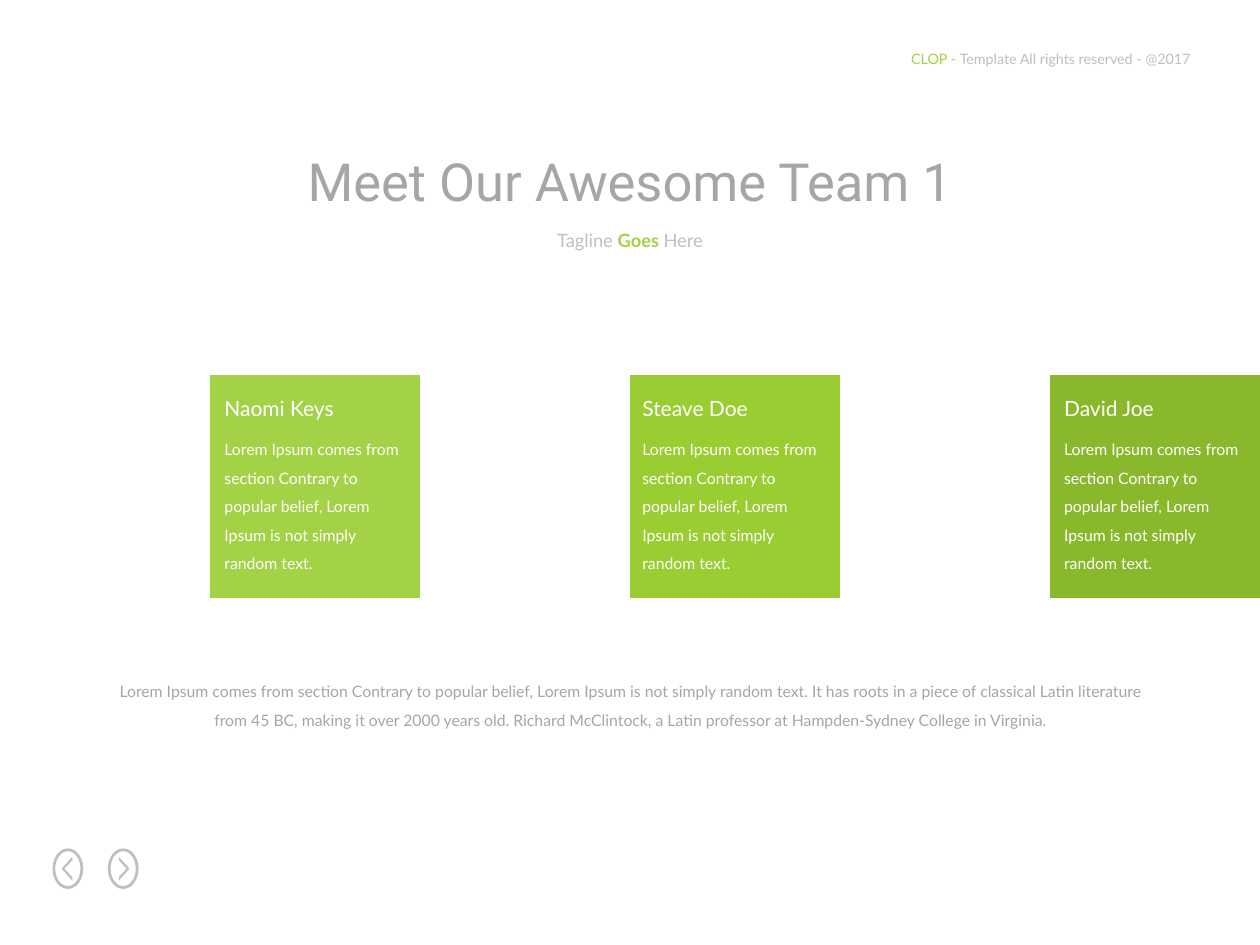
from dataclasses import dataclass

from pptx import Presentation
from pptx import util as u
from pptx.dml.color import RGBColor
from pptx.enum import shapes, text

Pt = u.Pt


@dataclass(frozen=True)
class Theme:
    body_font: str = "Lato"
    title_font: str = "Roboto"
    light_green: str = "A4D246"
    green: str = "9ACD32"
    dark_green: str = "8AB82D"
    grey: str = "A6A6A6"
    light_grey: str = "BFBFBF"
    white: str = "FFFFFF"
    credit_size: float = 8.2
    body_size: float = 9
    tagline_size: float = 10.5
    name_size: float = 12
    title_size: float = 30


THEME = Theme()
CENTER = text.PP_ALIGN.CENTER
CARD_TEXT = ("Lorem Ipsum comes from section Contrary to popular belief, "
             "Lorem Ipsum is not simply random text.")
SUMMARY = (CARD_TEXT + " It has roots in a piece of classical Latin literature "
           "from 45 BC, making it over 2000 years old. Richard McClintock, "
           "a Latin professor at Hampden-Sydney College in Virginia.")


def add_text(slide, box, runs, size, font=THEME.body_font, align=None,
             wrap=False, spacing=None):
    """Add one paragraph; runs are (words, colour, bold) tuples."""
    text_box = slide.shapes.add_textbox(*map(Pt, box))
    frame = text_box.text_frame
    frame.word_wrap = wrap
    frame.auto_size = text.MSO_AUTO_SIZE.SHAPE_TO_FIT_TEXT
    paragraph = frame.paragraphs[0]
    paragraph.alignment = align
    paragraph.line_spacing = spacing
    for words, colour, bold in runs:
        run = paragraph.add_run()
        run.text = words
        run.font.name = font
        run.font.size = Pt(size)
        run.font.bold = bold
        run.font.color.rgb = RGBColor.from_string(colour)


def paint(shape, colour):
    shape.shadow.inherit = False
    shape.fill.solid()
    shape.fill.fore_color.rgb = RGBColor.from_string(colour)
    shape.line.fill.background()


def add_credit(slide, box):
    add_text(slide, box,
             [("CLOP - ", THEME.light_green, False),
              ("Template All rights reserved - @2017", THEME.light_grey, False)],
             THEME.credit_size)


def add_heading(slide, box):
    left, top, width, height = box
    add_text(slide, (left, top, width, 44),
             [("Meet Our Awesome Team 1", THEME.grey, False)],
             THEME.title_size, font=THEME.title_font, align=CENTER)
    add_text(slide, (left, top + 46, width, height - 46),
             [("Tagline ", THEME.light_grey, False),
              ("Goes ", THEME.light_green, True),
              ("Here", THEME.light_grey, False)],
             THEME.tagline_size, align=CENTER)


def add_member_card(slide, box, name, colour, indent):
    left, top, width, height = box
    card = slide.shapes.add_shape(shapes.MSO_SHAPE.RECTANGLE, *map(Pt, box))
    paint(card, colour)
    add_text(slide, (left + indent, top + 8, width - 40, 22),
             [(name, THEME.white, False)], THEME.name_size)
    add_text(slide, (left + indent, top + 28.2, width - 1, height - 38),
             [(CARD_TEXT, THEME.white, False)], THEME.body_size,
             wrap=True, spacing=1.5)


def add_summary(slide, box):
    add_text(slide, box, [(SUMMARY, THEME.grey, False)], THEME.body_size,
             align=CENTER, wrap=True, spacing=1.5)


def add_arrow_button(slide, box, points_right):
    left, top, width, height = box
    ring = slide.shapes.add_shape(shapes.MSO_SHAPE.DONUT, *map(Pt, box))
    ring.adjustments[0] = 0.09
    paint(ring, THEME.light_grey)

    # Chevron drawn pointing left, mirrored for the right button
    middle = height / 2
    outline = [(11.3, middle - 4.8), (6.8, middle), (11.3, middle + 4.8),
               (11.3, middle + 6.8), (5.2, middle), (11.3, middle - 6.8)]
    if points_right:
        outline = [(width - x, y) for x, y in outline]
    points = [(Pt(left + x), Pt(top + y)) for x, y in outline]
    builder = slide.shapes.build_freeform(*points[0])
    builder.add_line_segments(points[1:], close=True)
    paint(builder.convert_to_shape(), THEME.light_grey)


def main():
    presentation = Presentation()
    presentation.slide_width, presentation.slide_height = Pt(720), Pt(540)
    slide = presentation.slides.add_slide(presentation.slide_layouts[6])

    # Header and navigation
    add_credit(slide, (513.6, 25.2, 180, 17.3))
    for index, points_right in enumerate((False, True)):
        add_arrow_button(slide, (30 + 31.6 * index, 484.8, 17.6, 23.2),
                         points_right)

    # Title and tagline
    add_heading(slide, (163.4, 81.4, 393.2, 66.2))

    # Team cards: each is one card width from the next gap
    card_width = 120
    members = [("Naomi Keys", THEME.light_green, 1.2),
               ("Steave Doe", THEME.green, 0),
               ("David Joe", THEME.dark_green, 1)]
    for index, (name, colour, indent) in enumerate(members):
        left = card_width * (1 + 2 * index)
        add_member_card(slide, (left, 214.4, card_width, 127.2),
                        name, colour, indent)

    # Closing paragraph
    add_summary(slide, (54, 380.9, 612, 40.3))

    presentation.save("out.pptx")


if __name__ == "__main__":
    main()
